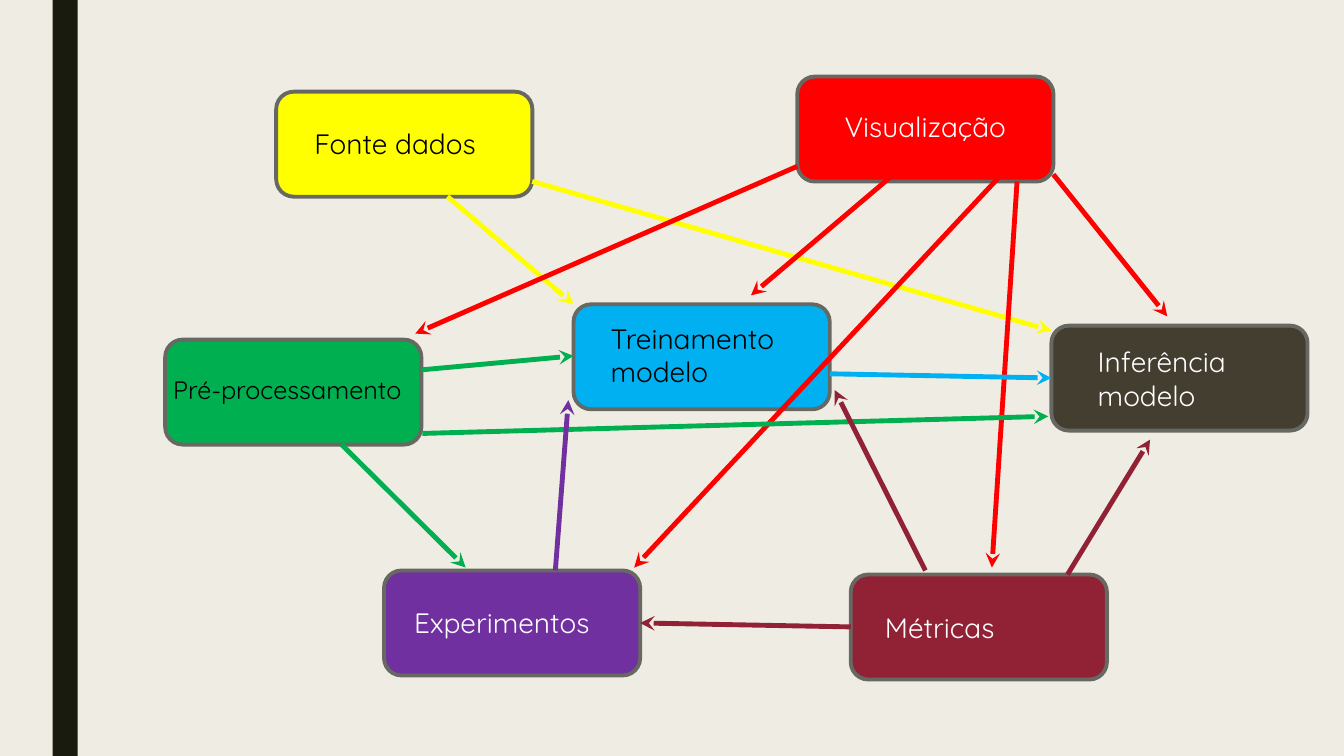
from typing import NamedTuple

from lxml.etree import SubElement
from pptx import Presentation
from pptx.dml.color import RGBColor
from pptx.enum.shapes import MSO_CONNECTOR, MSO_SHAPE
from pptx.oxml.ns import qn
from pptx.util import Pt

FONT = "Quicksand"
BLACK, WHITE = "000000", "FFFFFF"
YELLOW, RED, GREEN, BLUE = "FFFF00", "FF0000", "00B050", "00B0F0"
PURPLE, WINE, BROWN = "7030A0", "912236", "443E30"
BACKGROUND, BAR, OUTLINE = "EFEDE3", "191B0E", "686863"
STAGE_WIDTH, STAGE_HEIGHT = 183, 75


class Stage(NamedTuple):
    left: float
    top: float
    fill: str
    label: str
    label_left: float
    label_top: float
    ink: str
    label_width: float = 166.3
    label_height: float = 31.7
    size: float = 20


class Arrow(NamedTuple):
    start: tuple[float, float]
    end: tuple[float, float]


STAGES = [
    Stage(197.3, 65.5, YELLOW, "Fonte dados", 217.4, 87, BLACK),
    Stage(569.5, 54.7, RED, "Visualização", 596.2, 75, WHITE),
    Stage(751, 232.6, BROWN, "Inferência modelo", 777, 242.6, WHITE, label_height=55.4),
    Stage(118, 242.6, GREEN, "Pré-processamento", 116.6, 264.2, BLACK, 202.3, 28.8, 18),
    Stage(409.7, 217.4, BLUE, "Treinamento modelo", 429, 226, BLACK, label_height=55.4),
    Stage(607.7, 410.4, WINE, "Métricas", 625, 432.7, WHITE),
    Stage(274.3, 407.5, PURPLE, "Experimentos", 288.7, 429, WHITE),
]

# Arrows take the colour of the stage they leave
ARROWS = {
    YELLOW: [
        Arrow((319.7, 140.4), (409.7, 217.4)),
        Arrow((380.2, 129.6), (751, 236.2)),
    ],
    RED: [
        Arrow((569.5, 118.8), (296.6, 238.3)),
        Arrow((713.5, 126.7), (453, 405.4)),
        Arrow((726.5, 129.6), (708.5, 405.4)),
        Arrow((752.4, 124.6), (833.8, 226)),
        Arrow((635.8, 126.7), (536.4, 211)),
    ],
    GREEN: [
        Arrow((301, 264.2), (409.7, 254.2)),
        Arrow((301.7, 309.6), (748.8, 297.4)),
        Arrow((244, 317.5), (332.6, 405.4)),
    ],
    BLUE: [Arrow((592.6, 267), (751, 270))],
    PURPLE: [Arrow((396.7, 407.5), (406, 285.8))],
    WINE: [
        Arrow((607.7, 447.8), (457.2, 445)),
        Arrow((661, 407.5), (596.2, 278.6)),
        Arrow((762.5, 410.4), (821.5, 314)),
    ],
}


def paint(target, colour: str) -> None:
    """Give a fill a solid colour."""
    target.solid()
    target.fore_color.rgb = RGBColor.from_string(colour)


def draw_bar(page) -> None:
    bar = page.shapes.add_shape(MSO_SHAPE.RECTANGLE, Pt(37.5), Pt(0), Pt(18), Pt(540))
    bar.shadow.inherit = False
    paint(bar.fill, BAR)
    bar.line.fill.background()


def draw_stage(page, stage: Stage) -> None:
    box = page.shapes.add_shape(
        MSO_SHAPE.FLOWCHART_ALTERNATE_PROCESS,
        Pt(stage.left), Pt(stage.top), Pt(STAGE_WIDTH), Pt(STAGE_HEIGHT),
    )
    box.shadow.inherit = False
    paint(box.fill, stage.fill)
    paint(box.line.fill, OUTLINE)
    box.line.width = Pt(2.75)


def draw_label(page, stage: Stage) -> None:
    box = page.shapes.add_textbox(
        Pt(stage.label_left), Pt(stage.label_top),
        Pt(stage.label_width), Pt(stage.label_height),
    )
    box.text_frame.word_wrap = True
    span = box.text_frame.paragraphs[0].add_run()
    span.text = stage.label
    span.font.name = FONT
    span.font.size = Pt(stage.size)
    paint(span.font.fill, stage.ink)


def draw_arrow(page, arrow: Arrow, colour: str) -> None:
    start_x, start_y = arrow.start
    end_x, end_y = arrow.end
    connector = page.shapes.add_connector(
        MSO_CONNECTOR.STRAIGHT, Pt(start_x), Pt(start_y), Pt(end_x), Pt(end_y)
    )
    connector.line.width = Pt(3.5)
    paint(connector.line.fill, colour)
    properties = connector._element.spPr
    SubElement(properties.find(qn("a:ln")), qn("a:tailEnd"), type="stealth")
    SubElement(properties, qn("a:effectLst"))


deck = Presentation()
deck.slide_width, deck.slide_height = Pt(960), Pt(540)
page = deck.slides.add_slide(deck.slide_layouts[6])
paint(page.background.fill, BACKGROUND)
draw_bar(page)

# Stages, then their labels, then the arrows on top
for stage in STAGES:
    draw_stage(page, stage)
for stage in STAGES:
    draw_label(page, stage)
for colour, arrows in ARROWS.items():
    for arrow in arrows:
        draw_arrow(page, arrow, colour)

deck.save("out.pptx")
